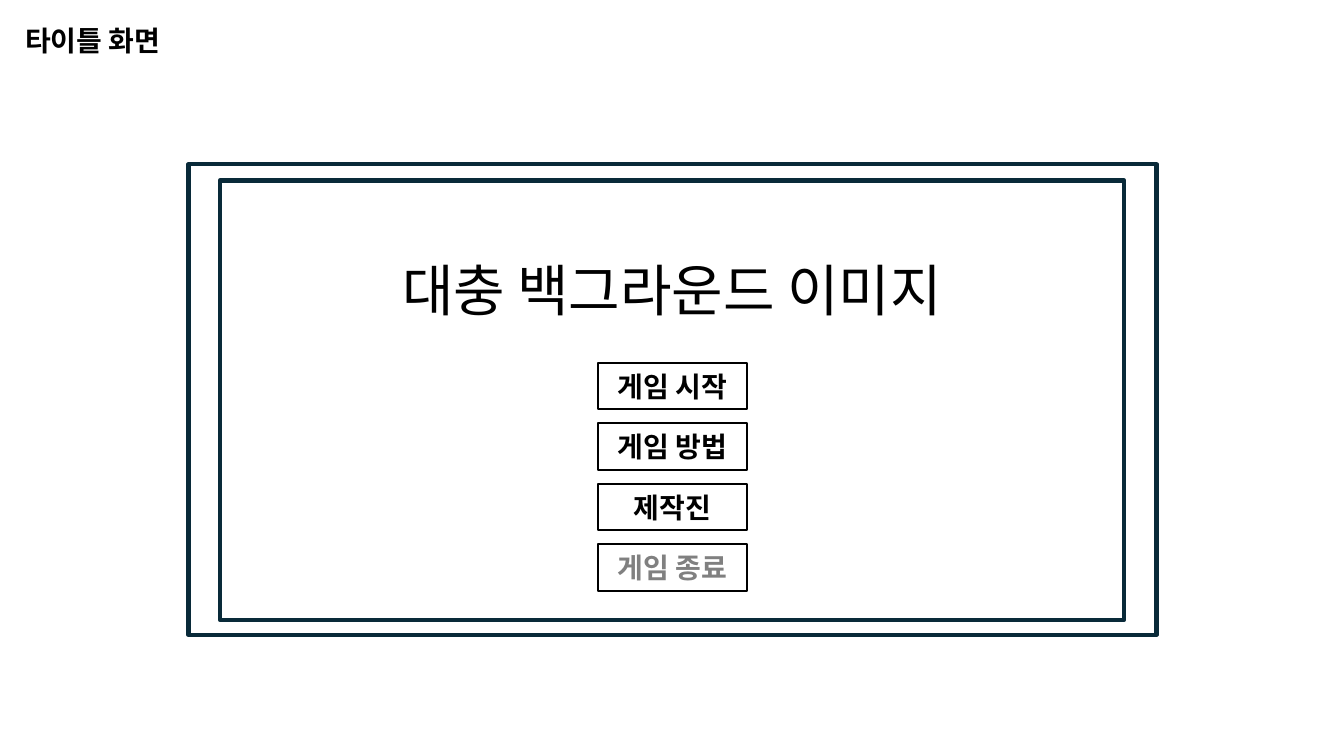
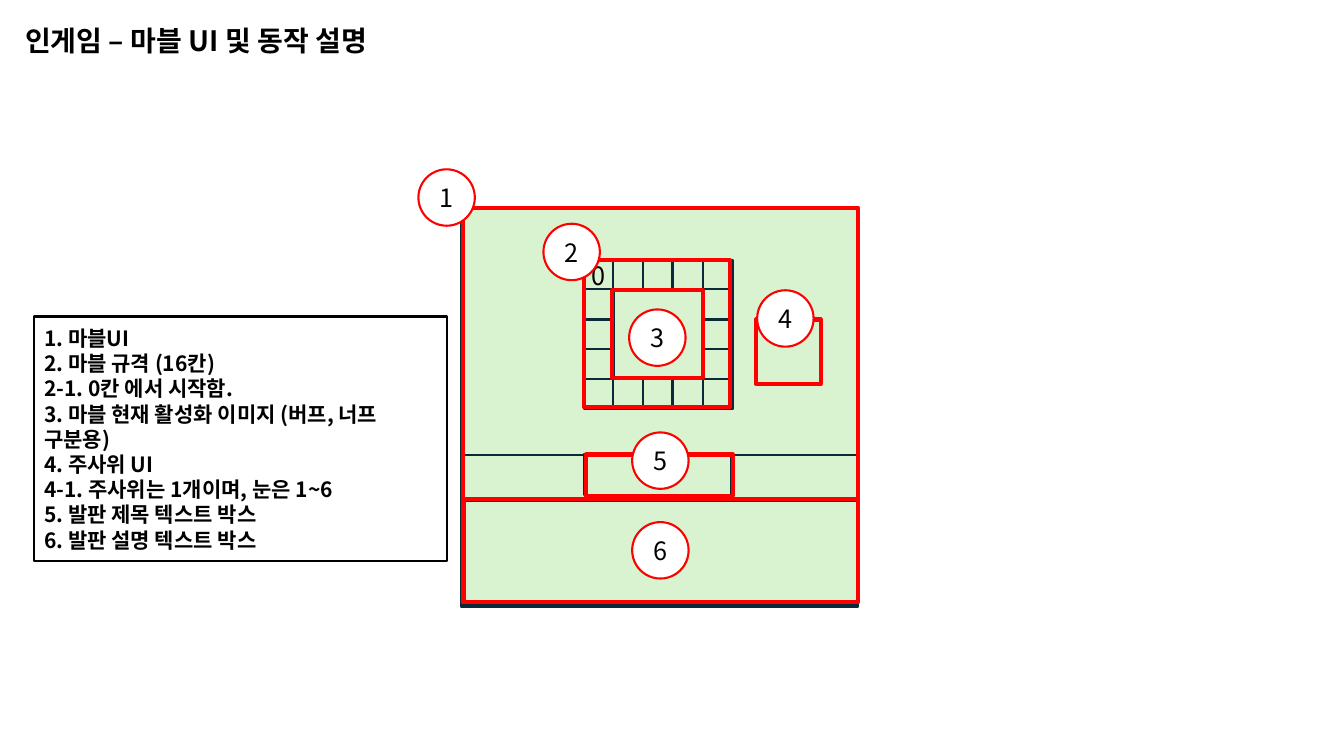
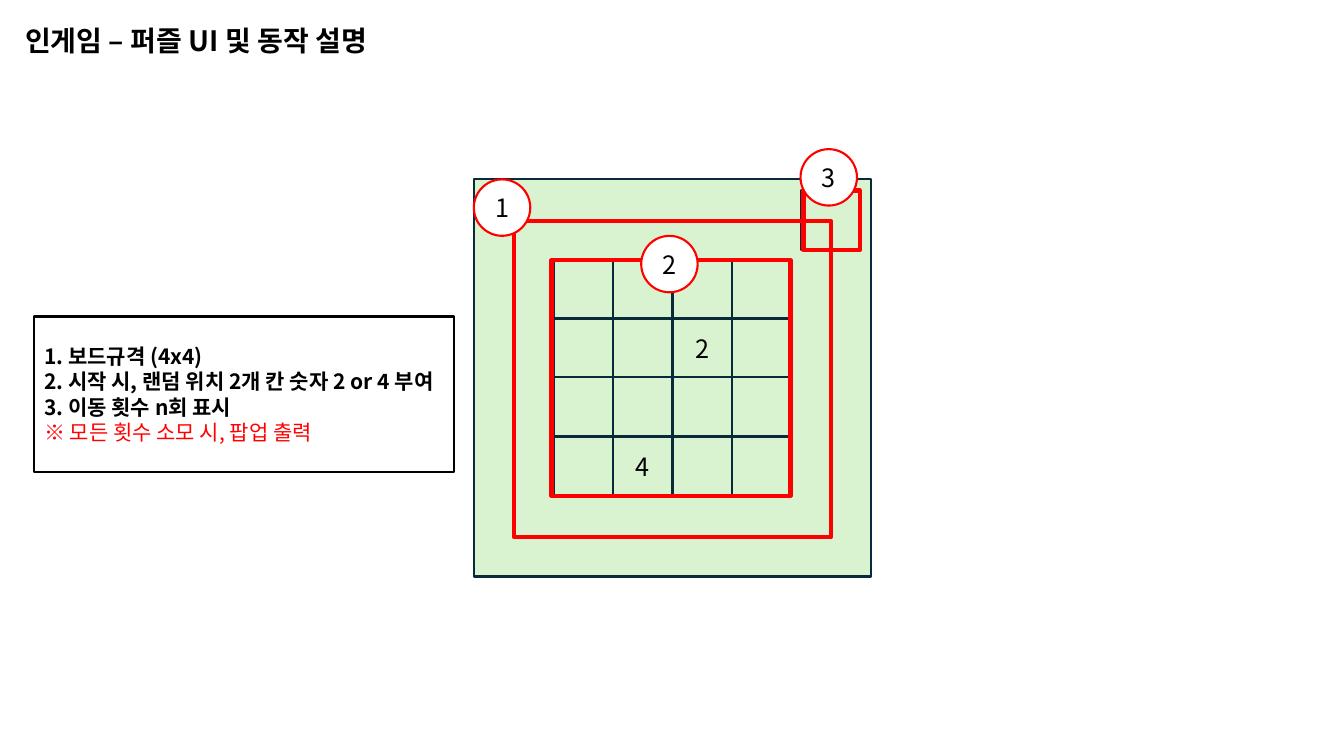
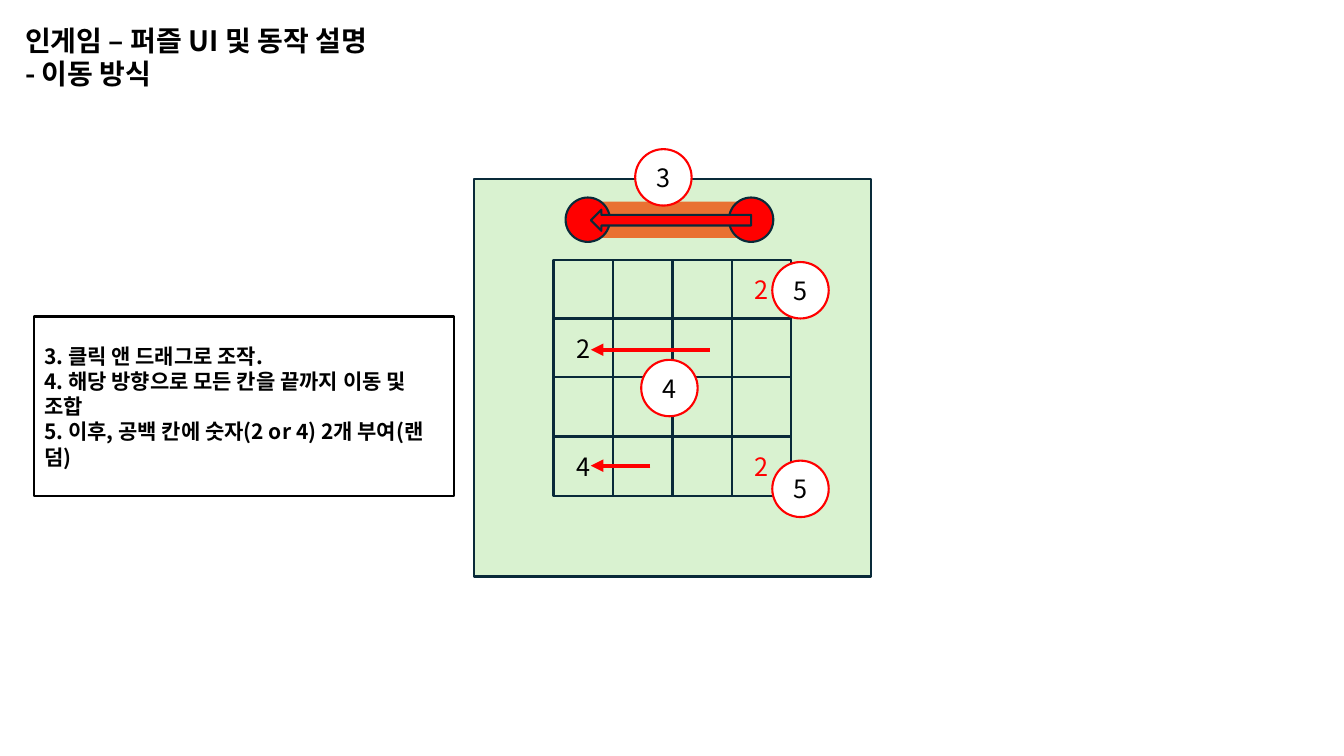
import pptx
import pptx.util
import pptx.dml.color
import pptx.enum.shapes
import pptx.enum.text
import pptx.oxml
import pptx.oxml.ns

PX = 9144
FONT = "Noto Sans CJK KR"
COLORS = {
    "white": "FFFFFF",
    "black": "000000",
    "navy": "092A39",
    "mint": "D9F2D0",
    "red": "FF0000",
    "gray": "808080",
    "orange": "E97132",
}
KINDS = pptx.enum.shapes.MSO_SHAPE
ALIGN = pptx.enum.text.PP_ALIGN
ANCHOR = pptx.enum.text.MSO_ANCHOR
BADGE = 56
CELL = 59


def px(*nums):
    return [pptx.util.Emu(num * PX) for num in nums]


def rgb(name):
    return pptx.dml.color.RGBColor.from_string(COLORS[name])


def write(frame, text, size, color="black", bold=False, align=ALIGN.CENTER):
    frame.text = text
    frame.word_wrap = True
    frame.vertical_anchor = ANCHOR.MIDDLE
    for para in frame.paragraphs:
        para.alignment = align
        para.line_spacing = pptx.util.Pt(1.2 * size)
        for run in para.runs:
            font = run.font
            font.name = FONT
            font.size = pptx.util.Pt(size)
            font.bold = bold
            font.color.rgb = rgb(color)
            # Korean glyphs take the East Asian face
            face = pptx.oxml.parse_xml(
                f'<a:ea {pptx.oxml.ns.nsdecls("a")} typeface="{FONT}"/>')
            font._element.find(pptx.oxml.ns.qn("a:latin")).addnext(face)


def box(host, at, fill="mint", line="navy", width=1.5, kind=KINDS.RECTANGLE):
    """Add a preset shape; a fill or line of None is left out."""
    shape = host.shapes.add_shape(kind, *px(*at))
    shape.shadow.inherit = False
    if fill:
        shape.fill.solid()
        shape.fill.fore_color.rgb = rgb(fill)
    else:
        shape.fill.background()
    if line:
        shape.line.color.rgb = rgb(line)
        shape.line.width = pptx.util.Pt(width)
    else:
        shape.line.fill.background()
    return shape


def label(shape, text, size=18, color="black", bold=False):
    """Centre a short text in a shape without insets."""
    frame = shape.text_frame
    frame.margin_left = frame.margin_right = 0
    frame.margin_top = frame.margin_bottom = 0
    write(frame, text, size, color, bold)


def frame(slide, *at):
    """Mark an area with a red outline."""
    box(slide, at, None, "red", 3)


def badge(slide, text, left, top):
    disc = box(slide, (left, top, BADGE, BADGE), "white", "red",
               kind=KINDS.OVAL)
    label(disc, text)


def notes(slide, text, width, height):
    shape = box(slide, (34, 314, width, height), None, "black")
    write(shape.text_frame, text, 15, bold=True, align=ALIGN.LEFT)
    return shape


def grid(host, marks):
    """Draw the 4x4 board; marks maps (column, row) to (text, colour)."""
    for col in range(4):
        for row in range(4):
            cell = box(host, (549 + CELL * col, 258 + 175 * row // 3,
                              CELL, CELL))
            if (col, row) in marks:
                text, color = marks[col, row]
                label(cell, text, color=color)


def ring(slide):
    """Draw the 16 outer cells of a 5x5 board."""
    for col in range(5):
        for row in range(5):
            if col in (0, 4) or row in (0, 4):
                cell = box(slide, (579 + 59 * col // 2, 258 + 59 * row // 2,
                                   30, 30))
                if col == row == 0:
                    label(cell, "0")


def arrow(slide, start, end, y):
    line = slide.shapes.add_connector(
        pptx.enum.shapes.MSO_CONNECTOR.STRAIGHT, *px(start, y, end, y))
    line.line.color.rgb = rgb("red")
    line.line.width = pptx.util.Pt(3)
    names = pptx.oxml.ns.nsdecls("a")
    line.line._get_or_add_ln().append(
        pptx.oxml.parse_xml(f'<a:tailEnd {names} type="triangle"/>'))
    line._element.spPr.append(pptx.oxml.parse_xml(f"<a:effectLst {names}/>"))


def page(deck, text, height=46):
    slide = deck.slides.add_slide(deck.slide_layouts[5])
    title = slide.shapes.title
    title.left, title.top, title.width, title.height = px(15, 17, 416, height)
    write(title.text_frame, text, 20, bold=True, align=ALIGN.LEFT)
    title.text_frame.auto_size = pptx.enum.text.MSO_AUTO_SIZE.NONE
    return slide


def start(deck):
    slide = page(deck, "타이틀 화면")
    box(slide, (187, 163, 960, 467), "white", width=3)
    view = box(slide, (218, 179, 897, 436), "white", width=3)
    label(view, "대충 백그라운드 이미지", 40)
    view.text_frame.vertical_anchor = ANCHOR.TOP
    view.text_frame.margin_top = px(74)[0]
    menu = [("게임 시작", "black"), ("게임 방법", "black"),
            ("제작진", "black"), ("게임 종료", "gray")]
    for num, (text, color) in enumerate(menu):
        item = box(slide, (593, 360 + 60 * num, 148, 46), None, "black")
        label(item, text, 20, color, True)


def marble(deck):
    slide = page(deck, "인게임 – 마블 UI 및 동작 설명")
    box(slide, (457, 206, 394, 394))
    notes(slide, "1. 마블UI\n2. 마블 규격 (16칸)\n2-1. 0칸 에서 시작함.\n"
          "3. 마블 현재 활성화 이미지 (버프, 너프 구분용)\n4. 주사위 UI\n"
          "4-1. 주사위는 1개이며, 눈은 1~6\n5. 발판 제목 텍스트 박스\n"
          "6. 발판 설명 텍스트 박스", 409, 243)
    ring(slide)
    for at in [(457, 451, 394, 151), (579, 450, 146, 41),
               (749, 317, 64, 64), (457, 497, 394, 103)]:
        box(slide, at)
    for at in [(459, 206, 392, 391), (750, 317, 64, 64),
               (579, 258, 145, 146), (607, 288, 90, 87),
               (581, 451, 146, 41), (460, 495, 391, 102)]:
        frame(slide, *at)
    spots = [(415, 168), (539, 222), (624, 307),
             (751, 288), (627, 429), (627, 518)]
    for num, spot in enumerate(spots, 1):
        badge(slide, str(num), *spot)


def board(deck):
    slide = page(deck, "인게임 – 퍼즐 UI 및 동작 설명")
    box(slide, (470, 178, 394, 394))
    grid(slide, {(1, 3): ("4", "black"), (2, 1): ("2", "black")})
    box(slide, (794, 189, CELL, CELL))
    for at in [(510, 219, 314, 314), (547, 258, 237, 234),
               (797, 189, 56, 59)]:
        frame(slide, *at)
    for num, spot in enumerate([(470, 178), (636, 234), (794, 148)], 1):
        badge(slide, str(num), *spot)
    memo = notes(slide, "1. 보드규격 (4x4)\n"
                 "2. 시작 시, 랜덤 위치 2개 칸 숫자 2 or 4 부여\n"
                 "3. 이동 횟수 n회 표시\n"
                 "※ 모든 횟수 소모 시, 팝업 출력", 416, 154)
    font = memo.text_frame.paragraphs[-1].runs[0].font
    font.bold = False
    font.color.rgb = rgb("red")


def moves(deck):
    slide = page(deck, "인게임 – 퍼즐 UI 및 동작 설명\n- 이동 방식", 79)
    box(slide, (470, 178, 394, 394))
    box(slide, (574, 200, 178, 36), "orange", None,
        kind=KINDS.ROUNDED_RECTANGLE)
    grid(slide.shapes.add_group_shape(),
         {(0, 1): ("2", "black"), (0, 3): ("4", "black"),
          (3, 0): ("2", "red"), (3, 3): ("2", "red")})
    notes(slide, "3. 클릭 앤 드래그로 조작.\n"
          "4. 해당 방향으로 모든 칸을 끝까지 이동 및 조합\n"
          "5. 이후, 공백 칸에 숫자(2 or 4) 2개 부여(랜덤)", 416, 178)
    for left in (561, 723):
        box(slide, (left, 196, 44, 44), "red", kind=KINDS.OVAL)
    box(slide, (586, 208, 159, 21), "red", kind=KINDS.LEFT_ARROW)
    arrow(slide, 704, 586, 347)
    arrow(slide, 645, 586, 462)
    for text, left, top in [("3", 630, 148), ("4", 636, 357),
                            ("5", 766, 457), ("5", 766, 260)]:
        badge(slide, text, left, top)


def main():
    deck = pptx.Presentation()
    deck.slide_width, deck.slide_height = px(1333, 750)
    for build in (start, marble, board, moves):
        build(deck)
    deck.save("out.pptx")


if __name__ == "__main__":
    main()
